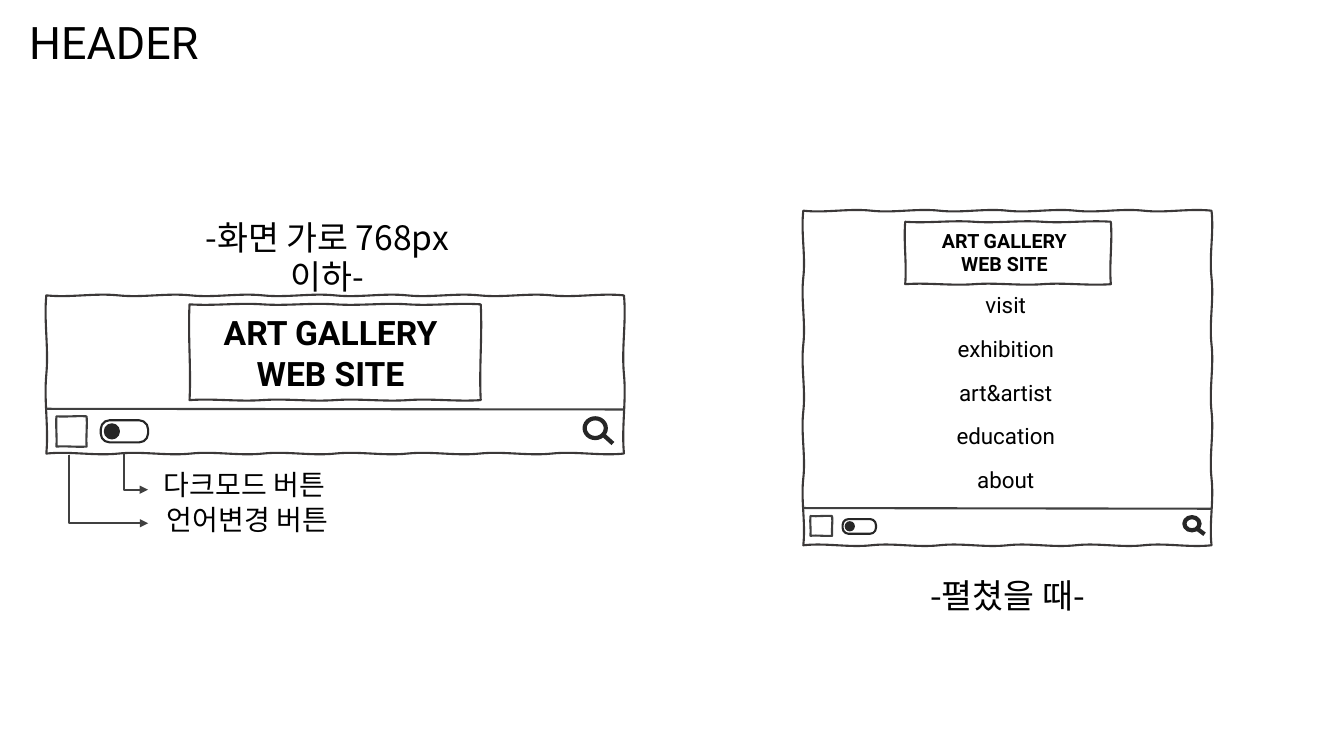
from lxml.etree import SubElement
from pptx import Presentation
from pptx.dml.color import RGBColor
from pptx.enum.shapes import MSO_CONNECTOR, MSO_SHAPE
from pptx.enum.text import MSO_ANCHOR, MSO_AUTO_SIZE, PP_ALIGN
from pptx.oxml.ns import qn
from pptx.util import Pt

# Content: boxes are (left, top, width, height) in points
TITLE = "HEADER"
LOGO = "ART GALLERY WEB SITE"
MENU = ["visit", "exhibition", "art&artist", "education", "about"]
CAPTIONS = [("-화면 가로 768px 이하-", 103.7, 152.6), ("-펼쳤을 때-", 589.7, 407.8)]
LABELS = [("다크모드 버튼", 109.9, 331.1), ("언어변경 버튼", 112.1, 356)]
ARROWS = [(88.5, 323.5, 105.8, 349.8), (49.2, 324.7, 105.8, 373.7)]
MOCKUPS = [
    dict(frame=(33.1, 211, 412.6, 113), logo=(135.4, 217.4, 208, 68.4),
         name=(141.8, 219.6, 188.6, 72), size="logo", bar=292,
         square=(40.3, 297.4, 21.6, 21.6), toggle=(72, 300.2, 33.8, 15.8),
         dot=(74.9, 303.1, 10.1, 10.1), lens=(417.6, 298.8, 15.1, 14.1),
         grip=(429.8, 309.6, 437.8, 316.8)),
    dict(frame=(573.8, 150.5, 291.6, 239), logo=(646.6, 158.4, 146.9, 44.6),
         name=(650.9, 159.8, 133.2, 41), size="small", bar=362.9,
         square=(578.9, 368.6, 15.5, 14.1), toggle=(601.9, 370.8, 23.8, 10.5),
         dot=(604.1, 373, 5.8, 5.8), lens=(846, 369.4, 10.8, 9.4),
         grip=(854.6, 377.3, 860.4, 381.6)),
]


class Theme:
    text, frame, line, icon = (RGBColor.from_string(c) for c in
                               ("000000", "3B3838", "404040", "262626"))
    latin, korean = "Roboto", "Noto Sans CJK KR"
    size = dict(title=32, logo=24, small=14, menu=16, caption=24, label=20)
    thin, thick = 1.5, 3
    lead = 1.16


deck = Presentation()
deck.slide_width, deck.slide_height = Pt(960), Pt(540)
slide = deck.slides.add_slide(deck.slide_layouts[5])
shapes = slide.shapes


def pts(*nums):
    return [Pt(n) for n in nums]


def write(shape, text, role, align=PP_ALIGN.CENTER, font=Theme.latin,
          bold=False, inset=7.2):
    frame = shape.text_frame
    frame.word_wrap = True
    frame.auto_size = MSO_AUTO_SIZE.NONE
    frame.vertical_anchor = MSO_ANCHOR.TOP
    frame.margin_left = frame.margin_right = Pt(inset)
    frame.text = text
    para = frame.paragraphs[0]
    para.alignment = align
    para.font.size = Pt(Theme.size[role])
    para.font.bold = bold
    para.font.color.rgb = Theme.text
    para.font.name = font
    if font == Theme.korean:
        para.line_spacing = Pt(Theme.size[role] * Theme.lead)
        props = para._p.find(".//" + qn("a:defRPr"))
        SubElement(props, qn("a:ea")).set("typeface", font)


def label(box, text, role, **style):
    write(shapes.add_textbox(*pts(*box)), text, role, **style)


def ink(shape, color, width=Theme.thin, fill=None):
    shape.shadow.inherit = False
    if fill is None:
        shape.fill.background()
    else:
        shape.fill.solid()
        shape.fill.fore_color.rgb = fill
    shape.line.color.rgb = color
    shape.line.width = Pt(width)


def bow(shape, sway):
    """Turn each straight step of an outline into a slight S curve."""
    outline = shape._element.find(".//" + qn("a:path"))
    start = outline.find(qn("a:moveTo"))[0]
    x, y = int(start.get("x")), int(start.get("y"))
    for step in outline.findall(qn("a:lnTo")):
        end = step[0]
        u, v = int(end.get("x")), int(end.get("y"))
        dx, dy = (0, Pt(sway)) if abs(u - x) > abs(v - y) else (Pt(sway), 0)
        curve = SubElement(outline, qn("a:cubicBezTo"))
        for t, sign in ((1, 1), (2, -1), (3, 0)):
            spot = SubElement(curve, qn("a:pt"))
            spot.set("x", str(x + (u - x) * t // 3 + sign * dx))
            spot.set("y", str(y + (v - y) * t // 3 + sign * dy))
        outline.replace(step, curve)
        x, y = u, v


def sketch(box, color, sway):
    """Draw a rectangle whose sides waver like a pen line."""
    x, y, w, h = box
    nodes = [(x, y), (x + w, y), (x + w, y + h), (x, y + h), (x, y)]
    trail = []
    for (ax, ay), (bx, by) in zip(nodes, nodes[1:]):
        count = max(1, round((abs(bx - ax) + abs(by - ay)) / 50))
        for i in range(1, count + 1):
            t = i / count
            trail.append((Pt(ax + (bx - ax) * t), Pt(ay + (by - ay) * t)))
    pen = shapes.build_freeform(Pt(x), Pt(y), scale=1.0)
    pen.add_line_segments(trail, close=True)
    shape = pen.convert_to_shape()
    ink(shape, color)
    bow(shape, sway)


def stroke(ends, color, width=Theme.thin, kind=MSO_CONNECTOR.STRAIGHT):
    line = shapes.add_connector(kind, *pts(*ends))
    line.line.color.rgb = color
    line.line.width = Pt(width)
    SubElement(line._element.spPr, qn("a:effectLst"))
    return line


def arrow(ends):
    line = stroke(ends, Theme.line, kind=MSO_CONNECTOR.ELBOW)
    props = line._element.spPr
    SubElement(props.find(qn("a:ln")), qn("a:tailEnd")).set("type", "triangle")
    geom = props.find(qn("a:prstGeom"))
    guides = geom.find(qn("a:avLst"))
    if guides is None:
        guides = SubElement(geom, qn("a:avLst"))
    bend = SubElement(guides, qn("a:gd"))
    bend.set("name", "adj1")
    bend.set("fmla", "val 0")


def mockup(part):
    # Frame, logo and bar
    sketch(part["frame"], Theme.frame, 1.8)
    label(part["name"], LOGO, part["size"], bold=True)
    sketch(part["logo"], Theme.frame, 1.2)
    left, _, width, _ = part["frame"]
    stroke((left, part["bar"], left + width, part["bar"] + 0.5), Theme.line)

    # Language square, dark mode toggle and search icon
    sketch(part["square"], Theme.line, 0.5)
    pill = shapes.add_shape(MSO_SHAPE.ROUNDED_RECTANGLE, *pts(*part["toggle"]))
    pill.adjustments[0] = 0.4
    ink(pill, Theme.icon)
    dot = shapes.add_shape(MSO_SHAPE.OVAL, *pts(*part["dot"]))
    ink(dot, Theme.icon, fill=Theme.icon)
    lens = shapes.add_shape(MSO_SHAPE.OVAL, *pts(*part["lens"]))
    ink(lens, Theme.icon, Theme.thick)
    stroke(part["grip"], Theme.icon, Theme.thick)


# Title
head = shapes.title
head.left, head.top, head.width, head.height = pts(13.7, 7.2, 220, 46)
write(head, TITLE, "title", align=PP_ALIGN.LEFT)

# Closed and opened header
for part in MOCKUPS:
    mockup(part)

# Menu of the opened header
for i, item in enumerate(MENU):
    label((663.4, 204.7 + 31.2 * i, 110, 26.6), item, "menu")

# Button labels with arrows
for ends in ARROWS:
    arrow(ends)
for text, x, y in LABELS:
    label((x, y, 176, 32), text, "label", align=PP_ALIGN.LEFT, font=Theme.korean)

# Captions
for text, x, y in CAPTIONS:
    label((x, y, 260, 36), text, "caption", font=Theme.korean, inset=26)

deck.save("out.pptx")
